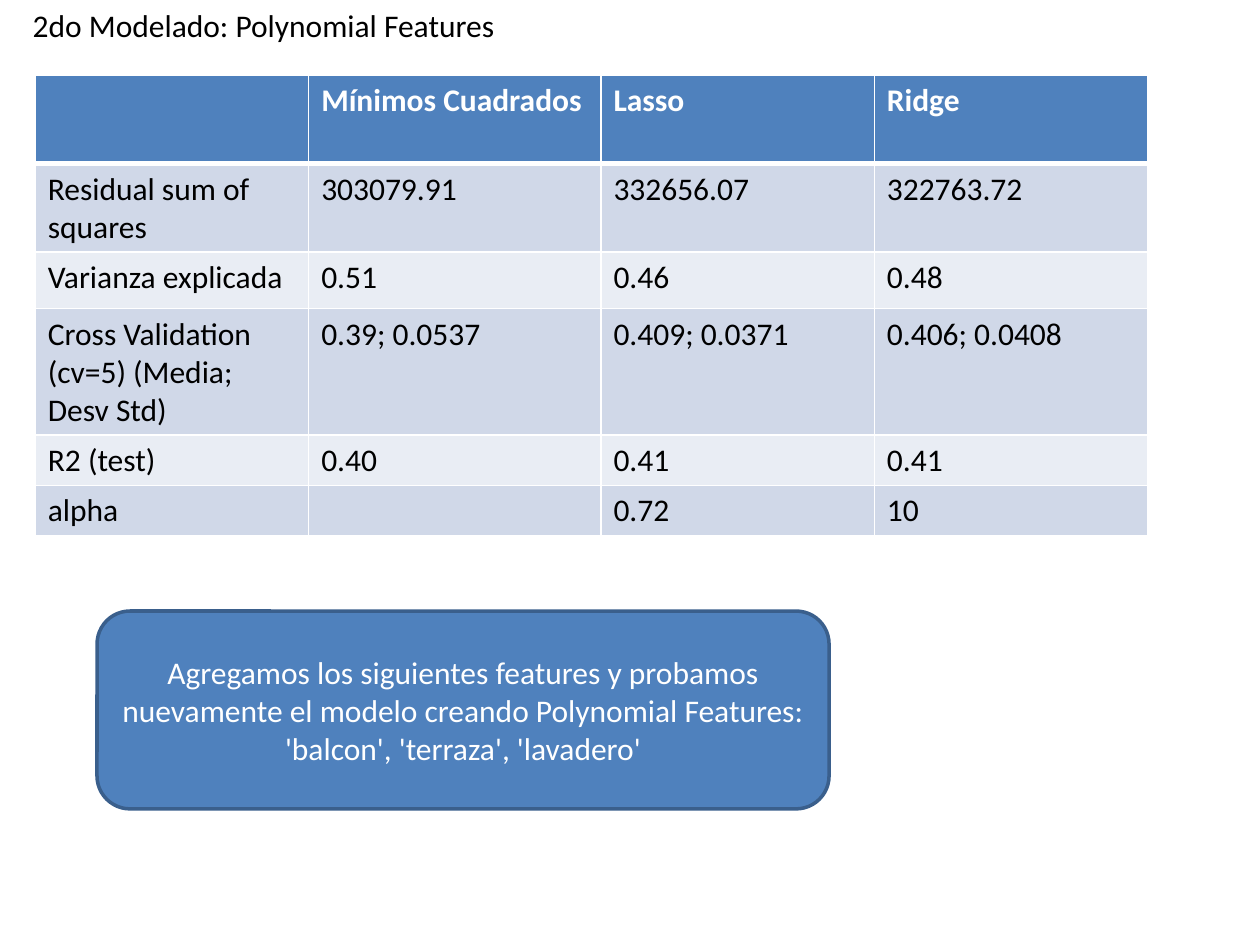
"""Build the polynomial features results slide."""
from dataclasses import dataclass
from itertools import product

from lxml.etree import SubElement
from pptx import Presentation
from pptx.dml.color import RGBColor
from pptx.enum.shapes import MSO_SHAPE
from pptx.enum.text import MSO_ANCHOR, MSO_AUTO_SIZE, PP_ALIGN
from pptx.oxml.ns import qn
from pptx.table import _Cell
from pptx.text.text import TextFrame
from pptx.util import Inches, Pt

COLORS = {
    "blue": "4F81BD",
    "outline": "3A5F8C",
    "band_dark": "D0D8E8",
    "band_light": "E9EDF4",
    "white": "FFFFFF",
    "black": "000000",
}
FONT = {"name": "Calibri", "size": Pt(18)}
COL_WIDTHS = [2.17, 2.32, 2.17, 2.17]


@dataclass
class ResultRow:
    height: float
    values: tuple[str, ...]


ROWS = [
    ResultRow(0.7, ("", "Mínimos Cuadrados", "Lasso", "Ridge")),
    ResultRow(0.45, ("Residual sum of squares", "303079.91", "332656.07", "322763.72")),
    ResultRow(0.45, ("Varianza explicada", "0.51", "0.46", "0.48")),
    ResultRow(0.64, ("Cross Validation (cv=5) (Media; Desv Std)",
                     "0.39; 0.0537", "0.409; 0.0371", "0.406; 0.0408")),
    ResultRow(0.26, ("R2 (test)", "0.40", "0.41", "0.41")),
    ResultRow(0.26, ("alpha", "", "0.72", "10")),
]


def rgb(name: str) -> RGBColor:
    return RGBColor.from_string(COLORS[name])


def write(tf: TextFrame, text: str, color: str, align: PP_ALIGN, bold: bool = False) -> None:
    tf.text = text
    p = tf.paragraphs[0]
    p.alignment = align
    for font in [p.font, *(r.font for r in p.runs)]:
        for key, value in {**FONT, "bold": bold}.items():
            setattr(font, key, value)
        font.color.rgb = rgb(color)


def set_borders(cell: _Cell, widths: dict[str, float]) -> None:
    tc_pr = cell._tc.get_or_add_tcPr()
    for side, width in widths.items():
        ln = SubElement(tc_pr, qn(f"a:ln{side}"), w=str(Pt(width)))
        fill = SubElement(ln, qn("a:solidFill"))
        SubElement(fill, qn("a:srgbClr"), val=COLORS["white"])


prs = Presentation()
prs.slide_width, prs.slide_height = Inches(10), Inches(7.5)
s = prs.slides.add_slide(prs.slide_layouts[5])

title = s.shapes.title
title.left, title.top, title.width, title.height = map(Inches, (0.16, 0, 8.03, 0.4))
write(title.text_frame, "2do Modelado: Polynomial Features", "black", PP_ALIGN.LEFT)
title_format = {
    "word_wrap": True,
    "auto_size": MSO_AUTO_SIZE.SHAPE_TO_FIT_TEXT,
    "vertical_anchor": MSO_ANCHOR.TOP,
}
for key, value in title_format.items():
    setattr(title.text_frame, key, value)

frame = s.shapes.add_table(len(ROWS), len(COL_WIDTHS), *map(Inches, (0.28, 0.6, 8.82, 3.65)))
table = frame.table
for col, width in zip(table.columns, COL_WIDTHS):
    col.width = Inches(width)
for row, result in zip(table.rows, ROWS):
    row.height = Inches(result.height)
for i, j in product(range(len(ROWS)), range(len(COL_WIDTHS))):
    cell = table.cell(i, j)
    header = i == 0
    band = "blue" if header else ("band_dark" if i % 2 else "band_light")
    write(cell.text_frame, ROWS[i].values[j], "white" if header else "black",
          PP_ALIGN.LEFT, header)
    set_borders(cell, {"L": 1, "R": 1, "T": 3 if i == 1 else 1, "B": 3 if header else 1})
    cell.fill.solid()
    cell.fill.fore_color.rgb = rgb(band)

sp = s.shapes.add_shape(MSO_SHAPE.ROUNDED_RECTANGLE, *map(Inches, (0.77, 4.85, 5.81, 1.57)))
sp.shadow.inherit = False
sp.fill.solid()
sp.fill.fore_color.rgb = rgb("blue")
sp.line.color.rgb = rgb("outline")
sp.line.width = Pt(2)
tf = sp.text_frame
write(tf, "Agregamos los siguientes features y probamos nuevamente el modelo creando "
      "Polynomial Features:\v'balcon', 'terraza', 'lavadero'", "white", PP_ALIGN.CENTER)
tf.word_wrap = True
tf.vertical_anchor = MSO_ANCHOR.MIDDLE

prs.save("out.pptx")
